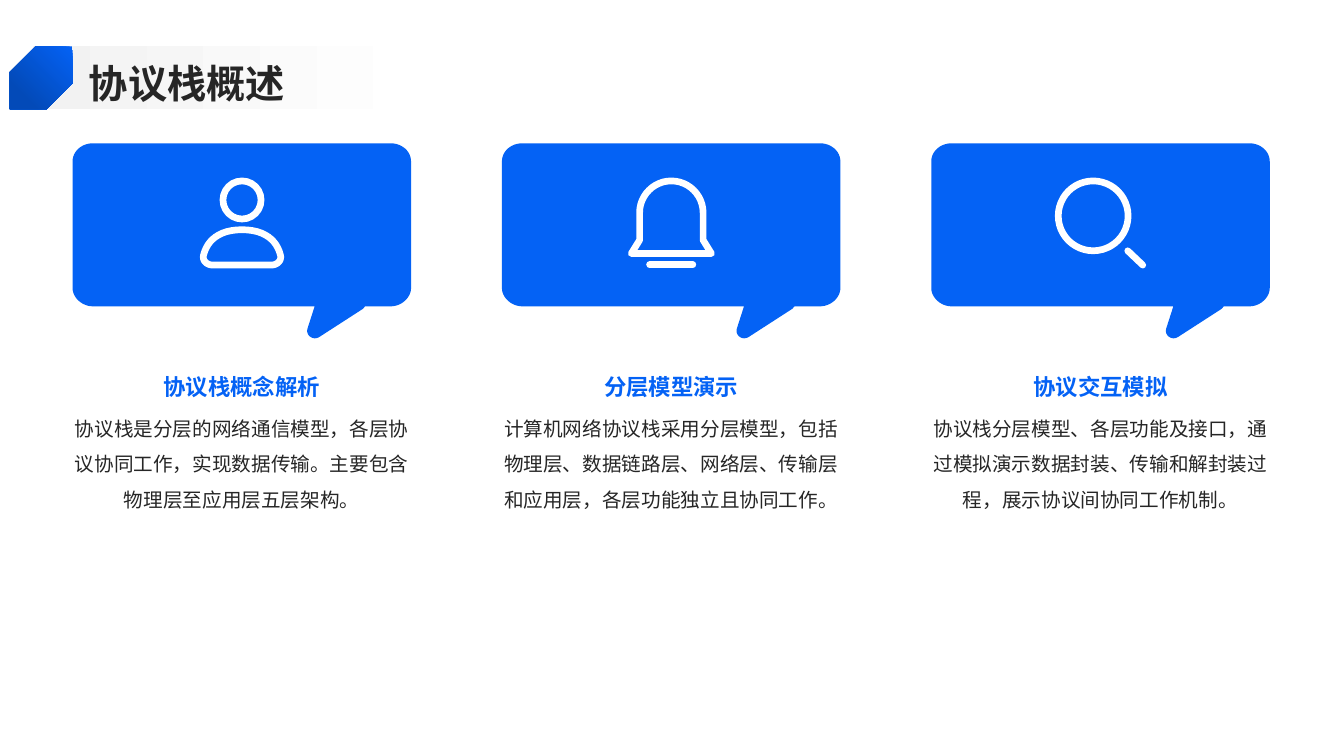
from dataclasses import dataclass

from lxml.etree import SubElement
from pptx import Presentation
from pptx.dml.color import RGBColor
from pptx.enum.shapes import MSO_CONNECTOR as Connector, MSO_SHAPE as Preset
from pptx.enum.text import MSO_ANCHOR as Anchor, MSO_AUTO_SIZE as AutoSize, PP_ALIGN as Align
from pptx.oxml.ns import qn
from pptx.util import Cm, Pt

Path = tuple[tuple[float, ...], ...]


@dataclass(frozen=True)
class Theme:
    font: str = "Noto Sans CJK SC"
    blue: str = "0462F5"
    deep_blue: str = "034AB8"
    band: str = "F2F2F2"
    white: str = "FFFFFF"
    ink: str = "262626"
    title_size: int = 28
    heading_size: int = 16
    body_size: int = 14
    icon_stroke: float = 4.8


@dataclass(frozen=True)
class Ring:
    x: float
    y: float
    radius: float


@dataclass(frozen=True)
class Outline:
    path_steps: Path


@dataclass(frozen=True)
class Stroke:
    start: tuple[float, float]
    end: tuple[float, float]


@dataclass(frozen=True)
class Topic:
    heading: str
    body: str
    icon: tuple[Ring | Outline | Stroke, ...]


THEME = Theme()
COLUMN_LEFT, COLUMN_TOP, COLUMN_WIDTH, COLUMN_PITCH = 1.83, 3.61, 8.53, 10.82
CURVE_STEPS = 12

BUBBLE: Path = (
    (0.52, 0),
    (0.23, 0, 0, 0.2, 0, 0.46),
    (0, 3.65),
    (0, 3.88, 0.23, 4.11, 0.52, 4.11),
    (6.1, 4.11),
    (5.92, 4.67),
    (5.87, 4.85, 6.07, 4.98, 6.22, 4.88),
    (7.32, 4.17),
    (7.37, 4.11),
    (8.01, 4.11),
    (8.3, 4.11, 8.53, 3.88, 8.53, 3.65),
    (8.53, 0.46),
    (8.53, 0.2, 8.3, 0, 8.01, 0),
)
SHOULDERS = Outline((
    (4.27, 2.18),
    (3.68, 2.18, 3.4, 2.46, 3.31, 2.79),
    (3.25, 2.95, 3.38, 3.07, 3.53, 3.07),
    (5.01, 3.07),
    (5.16, 3.07, 5.29, 2.95, 5.23, 2.79),
    (5.14, 2.46, 4.86, 2.18, 4.27, 2.18),
))
BELL = Outline((
    (3.47, 2.44),
    (3.47, 1.75),
    (3.47, 1.31, 3.83, 0.95, 4.27, 0.95),
    (4.71, 0.95, 5.07, 1.31, 5.07, 1.75),
    (5.07, 2.44),
    (5.28, 2.78),
    (3.26, 2.78),
))

TOPICS = (
    Topic(
        "协议栈概念解析",
        "协议栈是分层的网络通信模型，各层协议协同工作，实现数据传输。主要包含物理层至应用层五层架构。",
        (Ring(4.27, 1.43, 0.48), SHOULDERS),
    ),
    Topic(
        "分层模型演示",
        "计算机网络协议栈采用分层模型，包括物理层、数据链路层、网络层、传输层和应用层，各层功能独立且协同工作。",
        (BELL, Stroke((3.72, 3.06), (4.81, 3.06))),
    ),
    Topic(
        "协议交互模拟",
        "协议栈分层模型、各层功能及接口，通过模拟演示数据封装、传输和解封装过程，展示协议间协同工作机制。",
        (Ring(4.08, 1.83, 0.88), Stroke((4.95, 2.71), (5.33, 3.07))),
    ),
)


def color(value: str) -> RGBColor:
    return RGBColor.from_string(value)


def place(shape, left: float, top: float, width: float, height: float) -> None:
    shape.left, shape.top, shape.width, shape.height = map(Cm, (left, top, width, height))


def write_text(shape, text: str, *, size: int, fill: str, bold: bool = False,
               align=Align.CENTER, anchor=Anchor.TOP, spacing: float = 1.5) -> None:
    frame = shape.text_frame
    frame.word_wrap = True
    frame.auto_size = AutoSize.NONE
    frame.vertical_anchor = anchor
    frame.margin_left = frame.margin_right = frame.margin_top = frame.margin_bottom = 0
    paragraph = frame.paragraphs[0]
    paragraph.alignment = align
    paragraph.line_spacing = spacing
    run = paragraph.add_run()
    run.text = text
    run.font.size, run.font.bold = Pt(size), bold
    run.font.color.rgb = color(fill)
    run.font.name = THEME.font
    SubElement(run.font._element, qn("a:ea")).set("typeface", THEME.font)


def flatten(path_steps: Path) -> list[tuple[float, float]]:
    points = [path_steps[0]]
    for step in path_steps[1:]:
        if len(step) == 2:
            points.append(step)
            continue
        controls = (points[-1], step[:2], step[2:4], step[4:])
        for index in range(1, CURVE_STEPS + 1):
            t = index / CURVE_STEPS
            weights = ((1 - t) ** 3, 3 * t * (1 - t) ** 2, 3 * t * t * (1 - t), t ** 3)
            points.append(tuple(sum(w * c[axis] for w, c in zip(weights, controls))
                                for axis in (0, 1)))
    return points


def add_outline(slide, path_steps: Path, left: float, top: float):
    points = [(Cm(left + x), Cm(top + y)) for x, y in flatten(path_steps)]
    builder = slide.shapes.build_freeform(*points[0])
    builder.add_line_segments(points[1:], close=True)
    shape = builder.convert_to_shape()
    shape.shadow.inherit = False
    return shape


def style_stroke(shape) -> None:
    shape.line.color.rgb = color(THEME.white)
    shape.line.width = Pt(THEME.icon_stroke)
    line = shape.element.spPr.find(qn("a:ln"))
    line.set("cap", "rnd")
    SubElement(line, qn("a:round"))


def draw_mark(slide, mark: Ring | Outline | Stroke, left: float, top: float) -> None:
    if isinstance(mark, Stroke):
        ends = (left + mark.start[0], top + mark.start[1], left + mark.end[0], top + mark.end[1])
        shape = slide.shapes.add_connector(Connector.STRAIGHT, *map(Cm, ends))
        style_stroke(shape)
        SubElement(shape.element.spPr, qn("a:effectLst"))
        return
    if isinstance(mark, Ring):
        box = (left + mark.x - mark.radius, top + mark.y - mark.radius,
               2 * mark.radius, 2 * mark.radius)
        shape = slide.shapes.add_shape(Preset.OVAL, *map(Cm, box))
        shape.shadow.inherit = False
    else:
        shape = add_outline(slide, mark.path_steps, left, top)
    shape.fill.background()
    style_stroke(shape)


def draw_topic(slide, topic: Topic, left: float) -> None:
    bubble = add_outline(slide, BUBBLE, left, COLUMN_TOP)
    bubble.fill.solid()
    bubble.fill.fore_color.rgb = color(THEME.blue)
    bubble.line.fill.background()
    for mark in topic.icon:
        draw_mark(slide, mark, left, COLUMN_TOP)
    body = slide.shapes.add_textbox(*map(Cm, (left, 10.21, COLUMN_WIDTH, 6.98)))
    write_text(body, topic.body, size=THEME.body_size, fill=THEME.ink)
    heading = slide.shapes.add_textbox(*map(Cm, (left, 8.87, COLUMN_WIDTH, 1.21)))
    write_text(heading, topic.heading, size=THEME.heading_size, fill=THEME.blue, bold=True,
               anchor=Anchor.BOTTOM, spacing=1.3)


def add_gradient(slide, preset, left: float, width: float, start: str, end: str, angle: int):
    shape = slide.shapes.add_shape(preset, *map(Cm, (left, 1.17, width, 1.58)))
    shape.shadow.inherit = False
    shape.line.fill.background()
    shape.fill.gradient()
    shape.fill.gradient_angle = angle
    for stop, value, position in zip(shape.fill.gradient_stops, (start, end), (0, 0.8)):
        stop.color.rgb = color(value)
        stop.position = position
    return shape


def draw_title(slide, text: str) -> None:
    title = slide.shapes.title
    place(title, 2.24, 1.37, 30.18, 1.3)
    write_text(title, text, size=THEME.title_size, fill=THEME.ink, bold=True,
               align=Align.LEFT, anchor=Anchor.MIDDLE, spacing=1.1)
    band = add_gradient(slide, Preset.RECTANGLE, 0.84, 12.5, THEME.band, THEME.white, 0)
    badge = add_gradient(slide, Preset.SNIP_2_DIAG_RECTANGLE, 0.25, 1.58,
                         THEME.blue, THEME.deep_blue, 315)
    badge.adjustments[0], badge.adjustments[1] = 0, 0.41
    badge.element.spPr.find(qn("a:xfrm")).set("flipH", "1")
    for shape in (band, badge):
        title.element.addprevious(shape.element)


def main() -> None:
    presentation = Presentation()
    presentation.slide_width, presentation.slide_height = Cm(33.87), Cm(19.05)
    slide = presentation.slides.add_slide(presentation.slide_layouts[5])
    draw_title(slide, "协议栈概述")
    for index, topic in enumerate(TOPICS):
        draw_topic(slide, topic, COLUMN_LEFT + index * COLUMN_PITCH)
    presentation.save("out.pptx")


if __name__ == "__main__":
    main()
